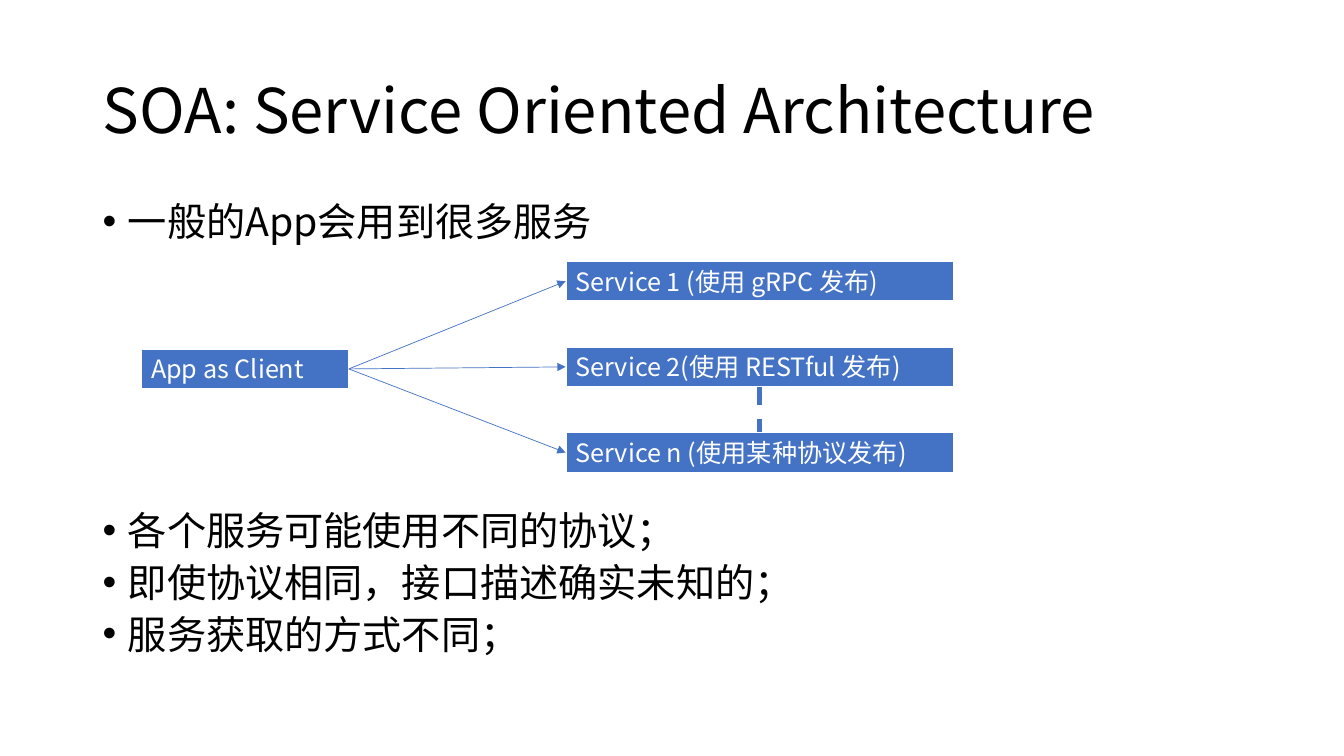
import pptx
import pptx.util
import pptx.dml.color
import pptx.enum.dml
import pptx.enum.shapes
import pptx.enum.text
import pptx.oxml.ns
import lxml.etree

Inches = pptx.util.Inches
Pt = pptx.util.Pt
RGBColor = pptx.dml.color.RGBColor
Anchor = pptx.enum.text.MSO_ANCHOR
Align = pptx.enum.text.PP_ALIGN
AutoSize = pptx.enum.text.MSO_AUTO_SIZE
qn = pptx.oxml.ns.qn

FONT = "Noto Sans CJK SC"
BLACK = RGBColor(0x00, 0x00, 0x00)
WHITE = RGBColor(0xFF, 0xFF, 0xFF)
BLUE = RGBColor(0x44, 0x72, 0xC4)

WIDTH, HEIGHT = 13.33, 7.5
MARGIN = 0.92
CONTENT_WIDTH = WIDTH - 2 * MARGIN
BOX_HEIGHT = 0.4
LEFT_SIDE, BOTTOM_SIDE, RIGHT_SIDE, TOP_SIDE = 1, 2, 3, 0

TITLE = "SOA: Service Oriented Architecture"
# Each bullet with its space before, in points
BULLETS = [
    ("一般的App会用到很多服务", 10),
    ("各个服务可能使用不同的协议；", 194),
    ("即使协议相同，接口描述确实未知的；", 10),
    ("服务获取的方式不同；", 10),
]
CLIENT = "App as Client"
SERVICES = [
    "Service 1 (使用 gRPC 发布)",
    "Service 2(使用 RESTful 发布)",
    "Service n (使用某种协议发布)",
]


def apply_format(target, values):
    for name, value in values.items():
        setattr(target, name, value)


def write(paragraph, words, size, color, **layout):
    run = paragraph.add_run()
    run.text = words
    apply_format(run.font, {"name": FONT, "size": Pt(size)})
    run.font.color.rgb = color
    east_asian = lxml.etree.SubElement(run.font._element, qn("a:ea"))
    east_asian.set("typeface", FONT)
    apply_format(paragraph, {"alignment": Align.LEFT, **layout})


def add_title(slide, left, top, width, height):
    title = slide.shapes.title
    apply_format(title, {"left": Inches(left), "top": Inches(top),
                         "width": Inches(width), "height": Inches(height)})
    apply_format(title.text_frame, {"vertical_anchor": Anchor.MIDDLE, "word_wrap": True,
                                    "auto_size": AutoSize.NONE})
    write(title.text_frame.paragraphs[0], TITLE, 44, BLACK, line_spacing=0.9)


def add_bullets(slide, left, top, width, height):
    frame = slide.shapes.add_textbox(
        Inches(left), Inches(top), Inches(width), Inches(height)).text_frame
    frame.word_wrap = True
    for index, (words, gap) in enumerate(BULLETS):
        paragraph = frame.add_paragraph() if index else frame.paragraphs[0]
        write(paragraph, words, 28, BLACK, line_spacing=0.8, space_before=Pt(gap))
        # Hanging bullet
        properties = paragraph._p.get_or_add_pPr()
        properties.set("marL", str(Inches(0.25)))
        properties.set("indent", str(-Inches(0.25)))
        lxml.etree.SubElement(properties, qn("a:buFont")).set("typeface", "Arial")
        lxml.etree.SubElement(properties, qn("a:buChar")).set("char", "•")


def add_node(slide, words, left, top, width):
    node = slide.shapes.add_shape(
        pptx.enum.shapes.MSO_SHAPE.RECTANGLE,
        Inches(left), Inches(top), Inches(width), Inches(BOX_HEIGHT))
    node.shadow.inherit = False
    node.fill.solid()
    node.fill.fore_color.rgb = BLUE
    node.line.color.rgb = WHITE
    node.line.width = Pt(1.5)
    apply_format(node.text_frame, {"word_wrap": True, "vertical_anchor": Anchor.TOP,
                                   "auto_size": AutoSize.SHAPE_TO_FIT_TEXT})
    write(node.text_frame.paragraphs[0], words, 18, WHITE)
    return node


def link(slide, start, start_side, end, end_side, weight):
    connector = slide.shapes.add_connector(
        pptx.enum.shapes.MSO_CONNECTOR.STRAIGHT, 0, 0, 0, 0)
    connector.begin_connect(start, start_side)
    connector.end_connect(end, end_side)
    connector.line.color.rgb = BLUE
    connector.line.width = Pt(weight)
    lxml.etree.SubElement(connector._element.spPr, qn("a:effectLst"))
    return connector


def add_diagram(slide, left, top, width, height):
    client_width, service_width = 2.06, 3.85
    service_left = left + width - service_width
    pitch = (height - BOX_HEIGHT) / (len(SERVICES) - 1)

    client = add_node(slide, CLIENT, left, top + 0.87, client_width)
    services = [add_node(slide, words, service_left, top + row * pitch, service_width)
                for row, words in enumerate(SERVICES)]

    # Calls from the client to every service
    for service in services:
        arrow = link(slide, client, RIGHT_SIDE, service, LEFT_SIDE, 0.5)
        outline = arrow.line._get_or_add_ln()
        lxml.etree.SubElement(outline, qn("a:tailEnd")).set("type", "triangle")

    # Further services between the last two
    more = link(slide, services[-2], BOTTOM_SIDE, services[-1], TOP_SIDE, 3.25)
    more.line.dash_style = pptx.enum.dml.MSO_LINE.DASH


def main():
    deck = pptx.Presentation()
    apply_format(deck, {"slide_width": Inches(WIDTH), "slide_height": Inches(HEIGHT)})
    slide = deck.slides.add_slide(deck.slide_layouts.get_by_name("Title Only"))
    add_title(slide, MARGIN, 0.4, CONTENT_WIDTH, 1.45)
    add_bullets(slide, MARGIN, 2, CONTENT_WIDTH, 4.76)
    add_diagram(slide, 1.4, 2.59, 8.06, 2.1)
    deck.save("out.pptx")


if __name__ == "__main__":
    main()
